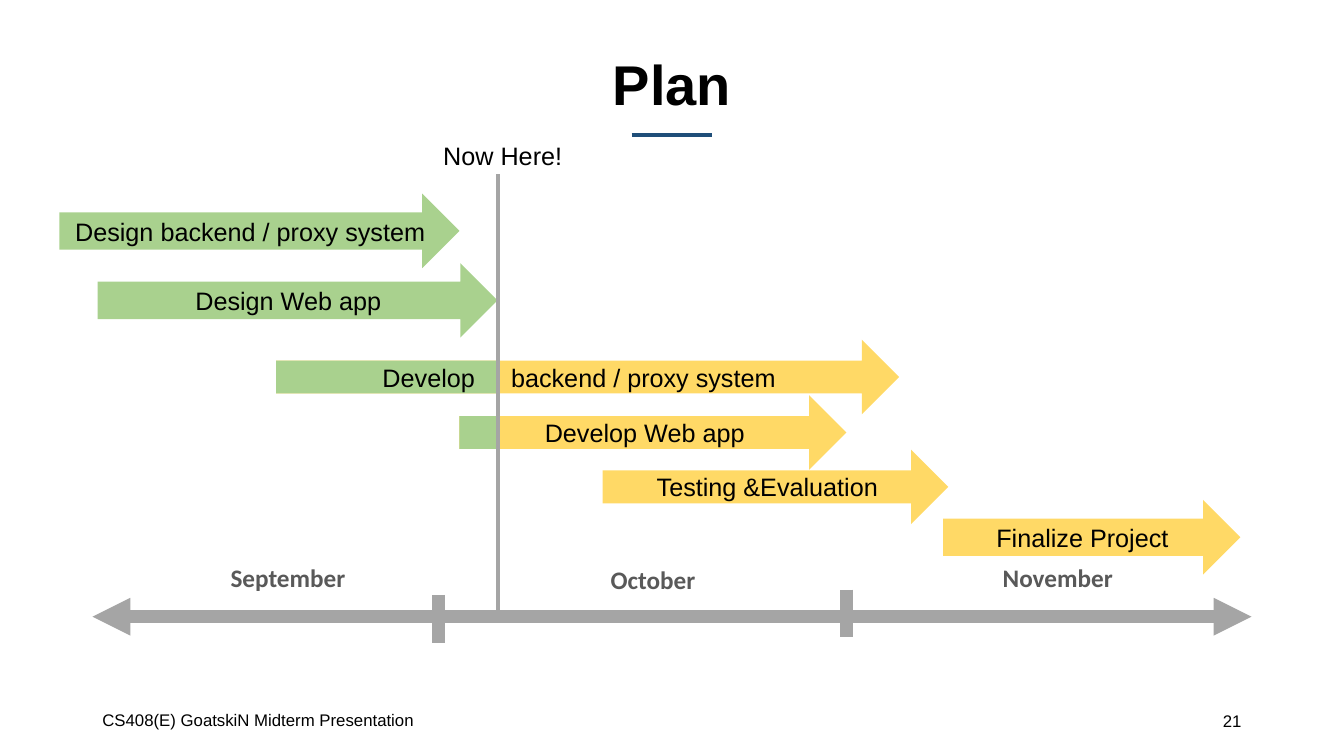
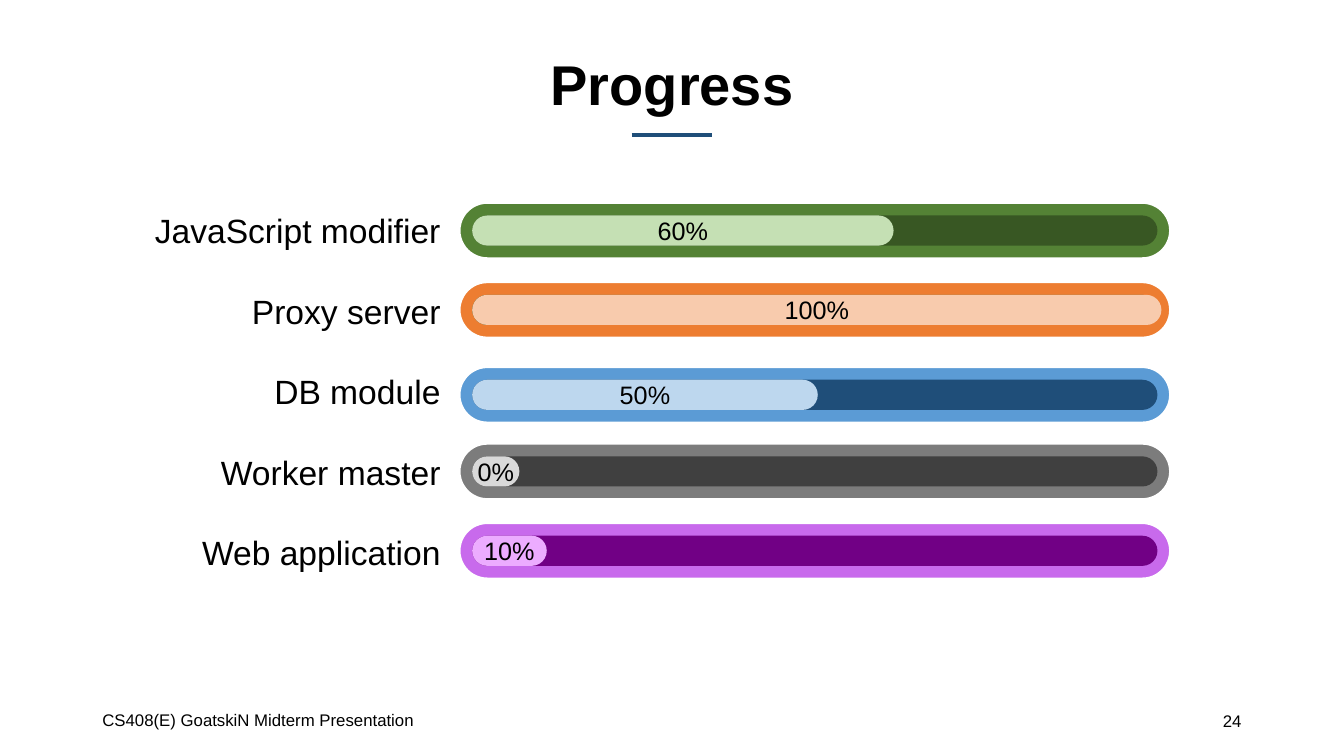
from dataclasses import dataclass

from lxml import etree
from pptx import Presentation
from pptx import util as u
from pptx.dml.color import RGBColor
from pptx.enum import shapes, text
from pptx.oxml import ns

FOOT = "CS408(E) GoatskiN Midterm Presentation"

TASKS = [
    ("Design backend / proxy system", 1.5, 4.88, 10.08, "past"),
    ("Design Web app", 2.46, 6.63, 10.08, "past"),
    (("Develop", "backend / proxy system"), 6.96, 8.56, 15.7, "both"),
    ("Develop Web app", 11.58, 9.96, 9.75, "both"),
    ("Testing &Evaluation", 15.19, 11.33, 8.71, "next"),
    ("Finalize Project", 23.77, 12.6, 7.49, "next"),
]
MONTHS = [("September", 5.56, 14.05), ("October", 15.14, 14.1), ("November", 25.02, 14.05)]
TICKS = [(11.05, 14.99), (21.34, 14.86)]

PARTS = [
    ("JavaScript modifier", "60%", 5.11, 10.62, ("548235", "385723", "C5E0B4")),
    ("Proxy server", "100%", 7.11, 17.37, ("ED7D31", "385723", "F8CBAD")),
    ("DB module", "50%", 9.25, 8.71, ("5B9BD5", "1F4E79", "BDD7EE")),
    ("Worker master", "0%", 11.18, 1.19, ("7C7C7C", "404040", "D9D9D9")),
    ("Web application", "10%", 13.18, 1.88, ("C86AEC", "710085", "ECACFF")),
]


@dataclass(frozen=True)
class Theme:
    ink: str = "000000"
    paper: str = "FFFFFF"
    rule: str = "1F4E79"
    axis: str = "A5A5A5"
    month: str = "595959"
    done: str = "A9D18E"
    todo: str = "FFD966"
    font: str = "Arial"
    alt: str = "Calibri"
    title: int = 40
    label: int = 24
    body: int = 18
    small: int = 12


T = Theme()
ALIGN = {"l": text.PP_ALIGN.LEFT, "c": text.PP_ALIGN.CENTER, "r": text.PP_ALIGN.RIGHT}
KIND = shapes.MSO_SHAPE


def cm(*vals):
    return [u.Cm(v) for v in vals]


def write(shape, words, size=T.body, color=T.ink, font=T.font, bold=False,
          align="l", mid=True, wrap=True, pad=(0.25, 0.13, 0.25, 0.13), space=1.0):
    frame = shape.text_frame
    frame.word_wrap = wrap
    frame.vertical_anchor = text.MSO_ANCHOR.MIDDLE if mid else text.MSO_ANCHOR.TOP
    (frame.margin_left, frame.margin_top,
     frame.margin_right, frame.margin_bottom) = cm(*pad)
    para = frame.paragraphs[0]
    para.alignment = ALIGN[align]
    para.line_spacing = space
    run = para.add_run()
    run.text = words
    run.font.name, run.font.size, run.font.bold = font, u.Pt(size), bold
    run.font.color.rgb = RGBColor.from_string(color)


def label(slide, words, box, **style):
    write(slide.shapes.add_textbox(*cm(*box)), words, **style)


def block(slide, kind, box, fill, edge=None, adj=()):
    shape = slide.shapes.add_shape(kind, *cm(*box))
    shape.shadow.inherit = False
    shape.fill.solid()
    shape.fill.fore_color.rgb = RGBColor.from_string(fill)
    if edge:
        shape.line.color.rgb = RGBColor.from_string(edge)
        shape.line.width = u.Pt(1.5)
    else:
        shape.line.fill.background()
    for i, val in enumerate(adj):
        shape.adjustments[i] = val
    return shape


def line(slide, ends, color, width, heads=False):
    link = slide.shapes.add_connector(shapes.MSO_CONNECTOR.STRAIGHT, *cm(*ends))
    link.line.color.rgb = RGBColor.from_string(color)
    link.line.width = u.Pt(width)
    if heads:
        for tag in ("a:headEnd", "a:tailEnd"):
            etree.SubElement(link.line._get_or_add_ln(), ns.qn(tag), type="triangle")
    etree.SubElement(link._element.spPr, ns.qn("a:effectLst"))


def page(deck, title, num):
    slide = deck.slides.add_slide(deck.slide_layouts[6])
    line(slide, (15.92, 3.4, 17.94, 3.4), T.rule, 3)
    label(slide, title, (2.33, 1, 29.21, 2.4), size=T.title, bold=True, align="c", space=0.9)
    label(slide, FOOT, (2.33, 17.64, 11.43, 1.02), size=T.small)
    label(slide, num, (23.92, 17.66, 7.62, 1.02), size=T.small, align="r")
    return slide


def plan(deck):
    slide = page(deck, "Plan", "21")
    now, high, shaft = 12.55, 1.88, 0.44
    line(slide, (2.33, 15.54, 31.54, 15.54), T.axis, 9, heads=True)
    for x, top in TICKS:
        line(slide, (x, top, x, top + 1.2), T.axis, 9)
    for name, x, top in MONTHS:
        label(slide, name, (x, top, 4, 1.02), color=T.month, font=T.alt, bold=True, mid=False)
    for name, x, top, wide, state in TASKS:
        past, both = state == "past", state == "both"
        arrow = block(slide, KIND.RIGHT_ARROW, (x, top, wide, high),
                      T.done if past else T.todo,
                      adj=(0.5 if past or state == "next" and x > 20 else shaft, 0.5))
        if both:
            thick = high * shaft
            part = block(slide, KIND.RECTANGLE,
                         (x, top + (high - thick) / 2, now - x, thick), T.done)
        if isinstance(name, tuple):
            write(part, name[0], align="r", pad=(0, 0, 0.58, 0))
            write(arrow, name[1], pad=(now - x + 0.33, 0, 0, 0))
        else:
            write(arrow, name, align="c")
    line(slide, (now, 4.39, now, 15.62), T.axis, 3)
    label(slide, "Now Here!", (10.92, 3.4, 5.97, 1.02), mid=False)


def progress(deck):
    slide = page(deck, "Progress", "24")
    left, wide, high, gap = 11.58, 17.91, 1.4, 0.32
    for i, (name, share, top, done, tones) in enumerate(PARTS):
        outer, track, fill = tones
        inner = high - 2 * gap
        block(slide, KIND.ROUNDED_RECTANGLE, (left, top, wide, high), outer, T.paper, (0.5,))
        block(slide, KIND.ROUNDED_RECTANGLE,
              (left + gap, top + gap, wide - 2 * gap, inner), track, adj=(0.5,))
        bar = block(slide, KIND.ROUNDED_RECTANGLE,
                    (left + gap, top + gap, done, inner), fill, adj=(0.5,))
        write(bar, share, align="c", wrap=False, pad=(0, 0, 0, 0))
        label(slide, name, (2.35, 5.16 + 2.03 * i, 9, 1.27), size=T.label, align="r", mid=False)


def main():
    deck = Presentation()
    deck.slide_width, deck.slide_height = cm(33.87, 19.05)
    plan(deck)
    progress(deck)
    deck.save("out.pptx")


if __name__ == "__main__":
    main()
